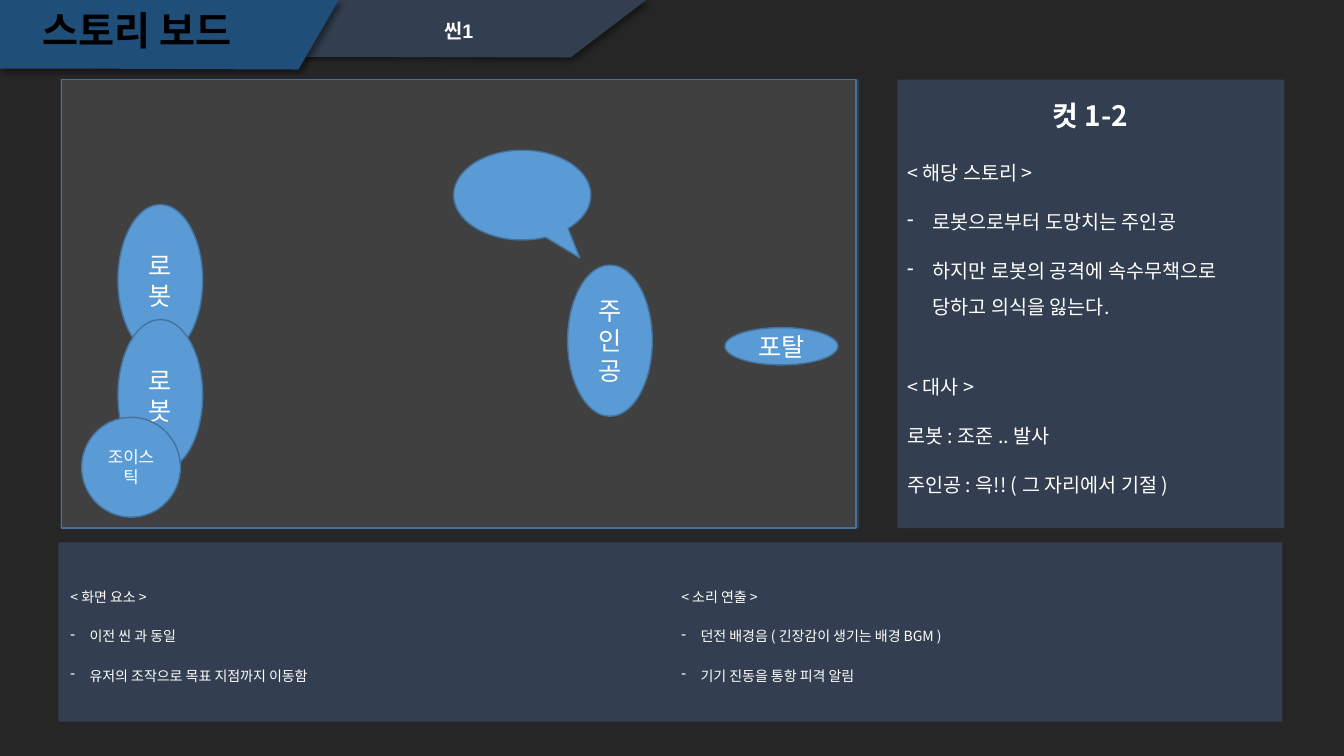
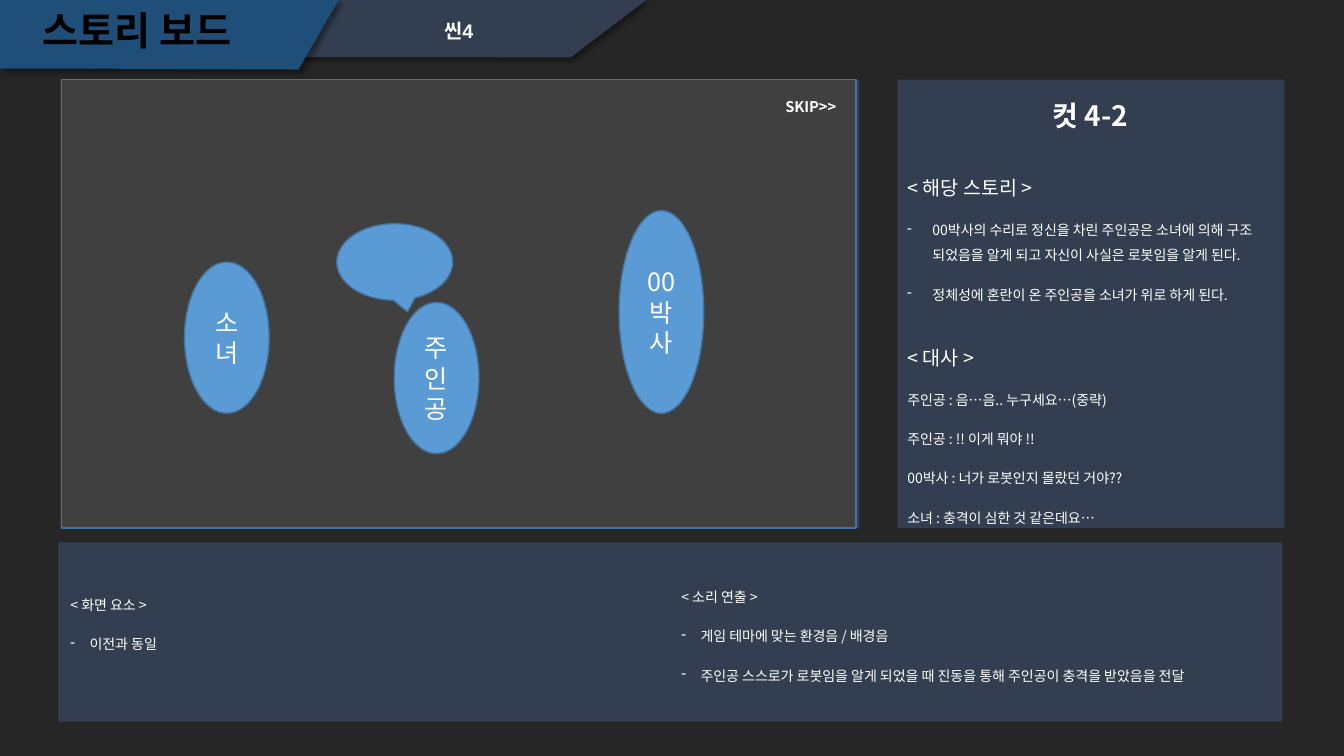
from dataclasses import dataclass
from typing import Any, NamedTuple

import lxml.etree
import pptx
import pptx.dml.color
import pptx.enum.shapes
import pptx.enum.text
import pptx.oxml.ns
import pptx.util

EMU_PER_PX = 9144  # 100 px to the inch
SHAPE = pptx.enum.shapes.MSO_SHAPE
ALIGN = pptx.enum.text.PP_ALIGN
ANCHOR = pptx.enum.text.MSO_ANCHOR
qn = pptx.oxml.ns.qn


@dataclass(frozen=True)
class Theme:
    page: str = "262626"
    panel: str = "333F50"
    banner: str = "1F4E79"
    stage: str = "404040"
    actor: str = "5B9BD5"
    outline: str = "43739E"
    light: str = "FFFFFF"
    dark: str = "000000"
    latin: str = "Arial"
    korean: str = "Noto Sans CJK KR"
    banner_pt: float = 28
    cut_pt: float = 20
    actor_pt: float = 18
    story_pt: float = 14
    small_pt: float = 12
    skip_pt: float = 10.5
    note_pt: float = 10


THEME = Theme()


class Box(NamedTuple):
    left: int
    top: int
    width: int
    height: int

    def emu(self) -> list[int]:
        return [px(length) for length in self]


class Actor(NamedTuple):
    """An ellipse on the stage; a pointer makes it a speech balloon."""
    box: Box
    name: str = ""
    size: float = THEME.actor_pt
    pointer: tuple[float, ...] = ()


class Line(NamedTuple):
    text: str
    size: float
    indent: int = 0


class Notes(NamedTuple):
    box: Box
    heading: str
    items: list[str]
    heading_pt: float
    item_pt: float
    indent: int = 0

    def lines(self) -> list[Line]:
        return [Line(self.heading, self.heading_pt),
                *(Line(item, self.item_pt, self.indent) for item in self.items)]


class Scene(NamedTuple):
    scene: str
    cut: str
    actors: list[Actor]
    notes: list[Notes]
    skip: str = ""


# Shared geometry
STAGE = Box(61, 79, 788, 445)
PANELS = [Box(60, 79, 792, 445), Box(890, 79, 384, 445), Box(58, 538, 1214, 178)]
STORY = Box(890, 134, 384, 195)
DIALOGUE = Box(890, 329, 385, 195)
VISUALS = Box(60, 538, 606, 178)
SOUND = Box(666, 538, 606, 178)
BANNERS = [
    (THEME.panel, [(5, 0), (641, 0), (566, 57), (138, 56), (5, 56)]),
    (THEME.banner, [(0, 0), (336, 0), (296, 69), (70, 68), (0, 68)]),
]
STORY_INDENT, NOTE_INDENT = 25, 19


def figure(left: int, top: int, name: str, height: int = 150) -> Actor:
    return Actor(Box(left, top, 84, height), name)


def story(items: list[str], size: float) -> Notes:
    return Notes(STORY, "< 해당 스토리 >", items, THEME.story_pt, size, STORY_INDENT)


def dialogue(items: list[str], size: float) -> Notes:
    return Notes(DIALOGUE, "< 대사 >", items, THEME.story_pt, size)


def visuals(items: list[str], box: Box = VISUALS) -> Notes:
    return Notes(box, "< 화면 요소 >", items, THEME.note_pt, THEME.note_pt, NOTE_INDENT)


def sound(items: list[str]) -> Notes:
    return Notes(SOUND, "< 소리 연출 >", items, THEME.note_pt, THEME.note_pt, NOTE_INDENT)


SCENES = [
    Scene(
        "씬1", "컷 1-2",
        [
            figure(563, 263, "주인공"),
            figure(117, 203, "로봇"),
            figure(117, 317, "로봇"),
            Actor(Box(81, 414, 98, 99), "조이스틱", THEME.small_pt),
            Actor(Box(719, 325, 112, 37), "포탈"),
            Actor(Box(450, 149, 136, 89), pointer=(0.42, 0.7)),
        ],
        [
            dialogue(["로봇 : 조준 .. 발사", "주인공 : 윽!! ( 그 자리에서 기절 )"], THEME.story_pt),
            story(["로봇으로부터 도망치는 주인공",
                   "하지만 로봇의 공격에 속수무책으로 당하고 의식을 잃는다."], THEME.story_pt),
            visuals(["이전 씬 과 동일", "유저의 조작으로 목표 지점까지 이동함"]),
            sound(["던전 배경음 ( 긴장감이 생기는 배경 BGM )", "기기 진동을 통항 피격 알림"]),
        ],
    ),
    Scene(
        "씬4", "컷 4-2",
        [
            figure(391, 300, "주인공"),
            figure(183, 260, "소녀"),
            figure(614, 209, "00박사", 201),
            Actor(Box(334, 222, 115, 76), pointer=(0.11, 0.65)),
        ],
        [
            dialogue(["주인공 : 음…음.. 누구세요…(중략)", "주인공 : !! 이게 뭐야 !!",
                      "00박사 : 너가 로봇인지 몰랐던 거야??",
                      "소녀 : 충격이 심한 것 같은데요…"], THEME.note_pt),
            story(["00박사의 수리로 정신을 차린 주인공은 소녀에 의해 구조 되었음을 알게 되고 "
                   "자신이 사실은 로봇임을 알게 된다.",
                   "정체성에 혼란이 온 주인공을 소녀가 위로 하게 된다."], THEME.note_pt),
            visuals(["이전과 동일"], VISUALS._replace(height=154)),
            sound(["게임 테마에 맞는 환경음 / 배경음",
                   "주인공 스스로가 로봇임을 알게 되었을 때 진동을 통해 주인공이 충격을 받았음을 전달"]),
        ],
        skip="SKIP>>",
    ),
]


def px(length: int) -> int:
    return pptx.util.Emu(length * EMU_PER_PX)


def rgb(color: str) -> pptx.dml.color.RGBColor:
    return pptx.dml.color.RGBColor.from_string(color)


def apply(target: Any, values: dict[str, Any]) -> None:
    for name, value in values.items():
        setattr(target, name, value)


def paint(shape: Any, fill: str, outline: str = "") -> None:
    shape.shadow.inherit = False
    shape.fill.solid()
    shape.fill.fore_color.rgb = rgb(fill)
    if outline:
        shape.line.color.rgb = rgb(outline)
        shape.line.width = pptx.util.Pt(1)
    else:
        shape.line.fill.background()


def add_dash(paragraph: Any, indent: int) -> None:
    properties = paragraph._p.get_or_add_pPr()
    properties.set("marL", str(px(indent)))
    properties.set("indent", str(-px(indent)))
    lxml.etree.SubElement(properties, qn("a:buChar"), char="-")


def write(frame: Any, lines: list[Line], *, color: str = THEME.light, bold: bool = False,
          font: str = THEME.korean, align: Any = ALIGN.LEFT, anchor: Any = ANCHOR.MIDDLE,
          spacing: float = 1.0) -> None:
    apply(frame, {"word_wrap": True, "vertical_anchor": anchor})
    for number, line in enumerate(lines):
        paragraph = frame.add_paragraph() if number else frame.paragraphs[0]
        if line.indent:
            add_dash(paragraph, line.indent)
        apply(paragraph, {"alignment": align, "line_spacing": spacing,
                          "space_before": pptx.util.Pt(10 if number else 0)})
        run = paragraph.add_run()
        run.text = line.text
        apply(run.font, {"name": font, "size": pptx.util.Pt(line.size), "bold": bold})
        run.font.color.rgb = rgb(color)
        east_asian = lxml.etree.SubElement(run.font._element, qn("a:ea"))
        east_asian.set("typeface", THEME.korean)


def add_text(slide: Any, box: Box, lines: list[Line], **style: Any) -> None:
    write(slide.shapes.add_textbox(*box.emu()).text_frame, lines, **style)


def add_banner(slide: Any, color: str, corners: list[tuple[int, int]]) -> None:
    outline = slide.shapes.build_freeform(*corners[0], scale=EMU_PER_PX)
    outline.add_line_segments(corners[1:], close=True)
    banner = outline.convert_to_shape()
    paint(banner, color)
    # Soft shadow towards the lower right
    effects = banner.element.spPr.find(qn("a:effectLst"))
    shadow = lxml.etree.SubElement(effects, qn("a:outerShdw"), blurRad="50800", dist="38100",
                                   dir="2700000", algn="tl", rotWithShape="0")
    tint = lxml.etree.SubElement(shadow, qn("a:srgbClr"), val=THEME.dark)
    lxml.etree.SubElement(tint, qn("a:alpha"), val="40000")


def add_panel(slide: Any, box: Box, fill: str, outline: str = "") -> None:
    paint(slide.shapes.add_shape(SHAPE.RECTANGLE, *box.emu()), fill, outline)


def add_actor(slide: Any, actor: Actor) -> None:
    preset = SHAPE.OVAL_CALLOUT if actor.pointer else SHAPE.OVAL
    ellipse = slide.shapes.add_shape(preset, *actor.box.emu())
    paint(ellipse, THEME.actor, THEME.outline)
    for number, value in enumerate(actor.pointer):
        ellipse.adjustments[number] = value
    if actor.name:
        write(ellipse.text_frame, [Line(actor.name, actor.size)], align=ALIGN.CENTER)


def add_frame(slide: Any, scene: Scene) -> None:
    # Banners, panels and their titles
    for color, corners in BANNERS:
        add_banner(slide, color, corners)
    for panel in PANELS:
        add_panel(slide, panel, THEME.panel)
    heading = {"bold": True, "align": ALIGN.CENTER}
    add_text(slide, Box(405, 16, 100, 32), [Line(scene.scene, THEME.story_pt)],
             font=THEME.latin, anchor=ANCHOR.TOP, spacing=0.9, **heading)
    add_text(slide, Box(3, 6, 266, 53), [Line("스토리 보드", THEME.banner_pt)],
             font=THEME.latin, color=THEME.dark, spacing=0.9, **heading)
    add_text(slide, Box(890, 79, 383, 54), [Line(scene.cut, THEME.cut_pt)],
             spacing=1.5, **heading)


def add_scene(deck: Any, scene: Scene) -> None:
    slide = deck.slides.add_slide(deck.slide_layouts[6])
    add_frame(slide, scene)
    # Stage
    add_panel(slide, STAGE, THEME.stage, THEME.outline)
    for actor in scene.actors:
        add_actor(slide, actor)
    if scene.skip:
        add_text(slide, Box(769, 92, 100, 29), [Line(scene.skip, THEME.skip_pt)],
                 bold=True, anchor=ANCHOR.TOP)
    # Story, dialogue and production notes
    for notes in scene.notes:
        add_text(slide, notes.box, notes.lines(), spacing=1.5)


def main() -> None:
    deck = pptx.Presentation()
    apply(deck, {"slide_width": px(1333), "slide_height": px(750)})
    backdrop = deck.slide_master.background.fill
    backdrop.solid()
    backdrop.fore_color.rgb = rgb(THEME.page)
    for scene in SCENES:
        add_scene(deck, scene)
    deck.save("out.pptx")


if __name__ == "__main__":
    main()
